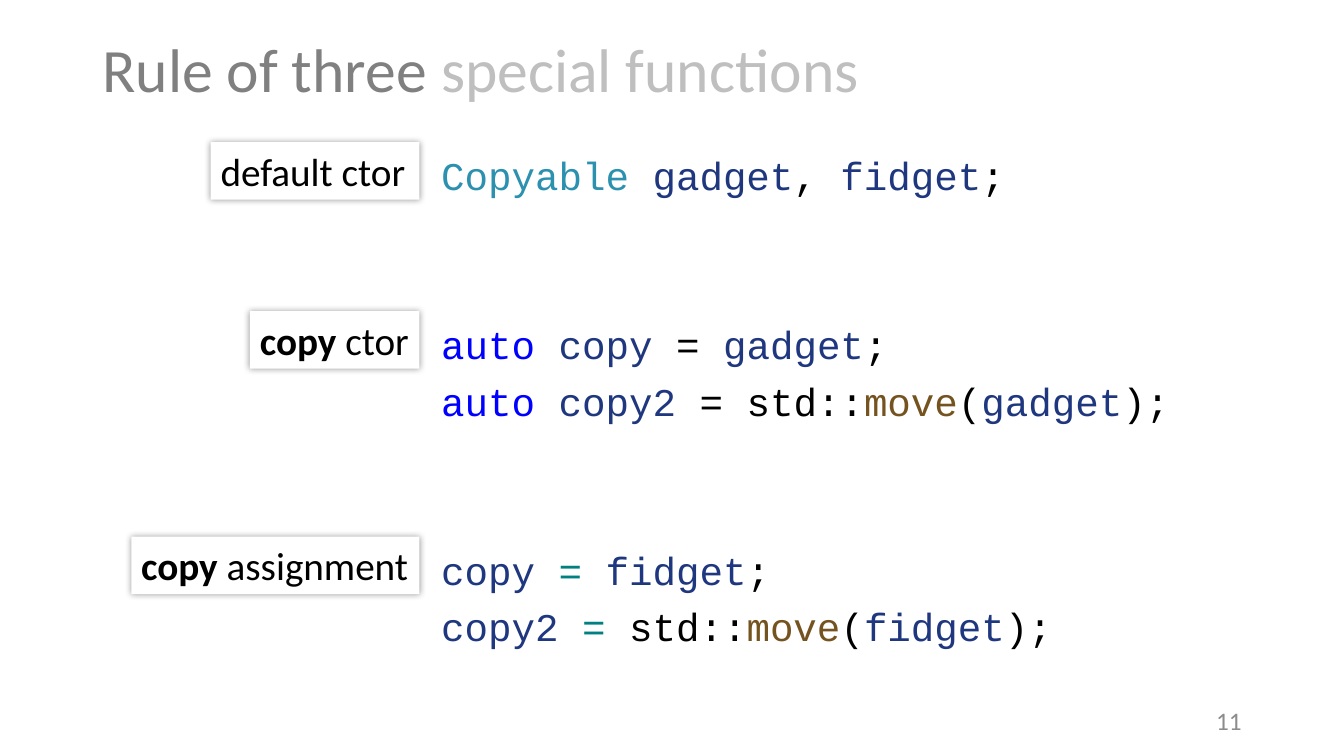
from lxml import etree
from pptx import Presentation
from pptx.dml.color import RGBColor
from pptx.enum.shapes import MSO_SHAPE
from pptx.enum.text import MSO_ANCHOR, PP_ALIGN
from pptx.oxml.ns import qn
from pptx.util import Cm, Pt

RECT = MSO_SHAPE.RECTANGLE
MIDDLE, TOP = MSO_ANCHOR.MIDDLE, MSO_ANCHOR.TOP
LEFT, RIGHT = PP_ALIGN.LEFT, PP_ALIGN.RIGHT

COLORS = {
    "title": "808080", "subtitle": "BFBFBF", "number": "8C8C8C",
    "white": "FFFFFF", "text": "000000", "type": "2B91AF",
    "variable": "1F377F", "keyword": "0000FF", "function": "74531F",
    "operator": "008080",
}
LINE_PITCH = 1.42
LINE_HEIGHT = 1.07
LABEL_RIGHT = 10.57

# Row of each code line, then its coloured pieces
CODE = [
    (0, [("Copyable", "type"), (" ", "text"), ("gadget", "variable"),
         (", ", "text"), ("fidget", "variable"), (";", "text")]),
    (3, [("auto", "keyword"), (" ", "text"), ("copy", "variable"),
         (" = ", "text"), ("gadget", "variable"), (";", "text")]),
    (4, [("auto", "keyword"), (" ", "text"), ("copy2", "variable"),
         (" = std::", "text"), ("move", "function"), ("(", "text"),
         ("gadget", "variable"), (");", "text")]),
    (7, [("copy", "variable"), (" ", "text"), ("=", "operator"),
         (" ", "text"), ("fidget", "variable"), (";", "text")]),
    (8, [("copy2", "variable"), (" ", "text"), ("=", "operator"),
         (" std::", "text"), ("move", "function"), ("(", "text"),
         ("fidget", "variable"), (");", "text")]),
]
# Row, width, bold part, regular part
LABELS = [
    (0, 5.26, "", "default ctor"),
    (3, 4.27, "copy ", "ctor"),
    (7, 7.26, "copy", " assignment"),
]


def add_run(p, text, color, size, font="Calibri", bold=False):
    r = p.add_run()
    r.text = text
    r.font.name = font
    r.font.size = Pt(size)
    r.font.bold = bold
    r.font.color.rgb = RGBColor.from_string(COLORS[color])


def add_text_frame(left, top, width, height, anchor):
    """Add a wrapping text box and return its text frame."""
    tf = s.shapes.add_textbox(Cm(left), Cm(top), Cm(width), Cm(height)).text_frame
    tf.word_wrap = True
    tf.vertical_anchor = anchor
    return tf


prs = Presentation()
prs.slide_width, prs.slide_height = Cm(33.87), Cm(19.05)
s = prs.slides.add_slide(prs.slide_layouts[6])

# Title
p = add_text_frame(2.33, 0, 29.21, 3.68, MIDDLE).paragraphs[0]
p.line_spacing = 0.9
add_run(p, "Rule of three ", "title", 44)
add_run(p, "special functions", "subtitle", 44)

# Code
tf = add_text_frame(10.87, 3.68, 20.68, 13.97, TOP)
tf.margin_top = Cm(0.26)
previous_row = 0
for i, (row, pieces) in enumerate(CODE):
    p = tf.add_paragraph() if i else tf.paragraphs[0]
    p.line_spacing = Cm(LINE_HEIGHT)
    if i:
        p.space_before = Cm((row - previous_row) * LINE_PITCH - LINE_HEIGHT)
    for text, color in pieces:
        add_run(p, text, color, 28, "Courier New")
    previous_row = row

# Slide number
p = add_text_frame(23.92, 17.66, 7.62, 1.01, MIDDLE).paragraphs[0]
p.alignment = RIGHT
add_run(p, "11", "number", 18)

# Labels beside the code
for row, width, bold_text, text in LABELS:
    sp = s.shapes.add_shape(RECT, Cm(LABEL_RIGHT - width),
                            Cm(3.58 + row * LINE_PITCH), Cm(width), Cm(1.45))
    sp.fill.solid()
    sp.fill.fore_color.rgb = RGBColor.from_string(COLORS["white"])
    sp.line.fill.background()
    sp.shadow.inherit = False
    effects = sp._element.spPr.find(qn("a:effectLst"))
    shadow = etree.SubElement(effects, qn("a:outerShdw"), blurRad=str(Pt(5)),
                              dist="0", dir="0", algn="ctr", rotWithShape="0")
    color = etree.SubElement(shadow, qn("a:srgbClr"), val=COLORS["text"])
    etree.SubElement(color, qn("a:alpha"), val="40000")
    tf = sp.text_frame
    tf.word_wrap = True
    tf.vertical_anchor = TOP
    p = tf.paragraphs[0]
    p.alignment = LEFT
    if bold_text:
        add_run(p, bold_text, "text", 28, bold=True)
    add_run(p, text, "text", 28)

prs.save("out.pptx")
